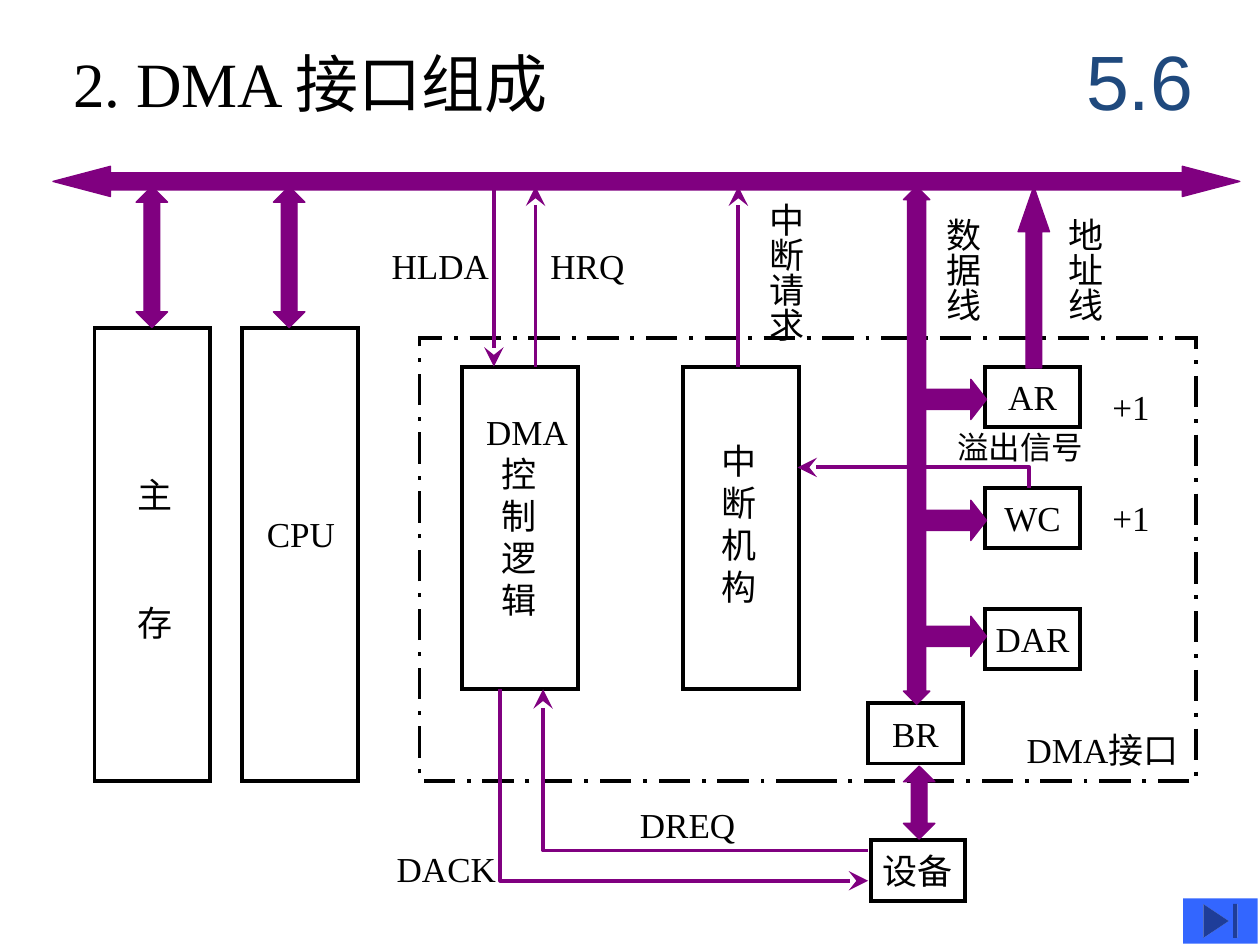
from lxml import etree
from pptx import Presentation
from pptx.dml.color import RGBColor
from pptx.enum.dml import MSO_LINE
from pptx.enum.shapes import MSO_CONNECTOR, MSO_SHAPE
from pptx.enum.text import MSO_ANCHOR, MSO_AUTO_SIZE, PP_ALIGN
from pptx.oxml.ns import qn
from pptx.util import Inches, Pt

BLACK = RGBColor(0x00, 0x00, 0x00)
PURPLE = RGBColor(0x80, 0x00, 0x80)
NAVY = RGBColor(0x1F, 0x49, 0x7D)
BLUE = RGBColor(0x33, 0x66, 0xFF)
SERIF = "Times New Roman"
SANS = "Arial"


def format_text(text_frame, size=20, font=SERIF, color=BLACK, align=PP_ALIGN.LEFT):
    for paragraph in text_frame.paragraphs:
        paragraph.alignment = align
        for run in paragraph.runs:
            run.font.size = Pt(size)
            run.font.name = font
            run.font.color.rgb = color


def set_insets(text_frame, horizontal, vertical):
    text_frame.margin_left = text_frame.margin_right = Inches(horizontal)
    text_frame.margin_top = text_frame.margin_bottom = Inches(vertical)


def add_label(slide, text, left, top, width, height=0.44, size=20, vertical=False):
    label = slide.shapes.add_textbox(Inches(left), Inches(top), Inches(width), Inches(height))
    text_frame = label.text_frame
    text_frame.text = text
    text_frame.word_wrap = False
    text_frame.auto_size = MSO_AUTO_SIZE.SHAPE_TO_FIT_TEXT
    set_insets(text_frame, 0.1, 0.05)
    if vertical:
        set_insets(text_frame, 0.05, 0.1)
        text_frame._txBody.bodyPr.set("vert", "eaVert")
    format_text(text_frame, size)
    return label


def indent(paragraphs, distance=0.12):
    for paragraph in paragraphs:
        properties = paragraph._p.get_or_add_pPr()
        properties.set("marL", str(Inches(distance)))
        properties.set("indent", "0")


def add_box(slide, left, top, width, height, text=""):
    box = slide.shapes.add_shape(
        MSO_SHAPE.RECTANGLE, Inches(left), Inches(top), Inches(width), Inches(height))
    box.shadow.inherit = False
    box.fill.background()
    box.line.color.rgb = BLACK
    box.line.width = Pt(2.25)
    box.line.dash_style = MSO_LINE.SOLID
    etree.SubElement(box.line._get_or_add_ln(), qn("a:miter")).set("lim", "800000")
    if text:
        box.text_frame.text = text
        box.text_frame.word_wrap = False
        box.text_frame.vertical_anchor = MSO_ANCHOR.MIDDLE
        format_text(box.text_frame, align=PP_ALIGN.CENTER)
    return box


def add_register(slide, left, top, text):
    return add_box(slide, left, top, 0.75, 0.48, text)


def add_block_arrow(slide, kind, left, top, width, height, *proportions):
    arrow = slide.shapes.add_shape(
        kind, Inches(left), Inches(top), Inches(width), Inches(height))
    for index, proportion in enumerate(proportions):
        arrow.adjustments[index] = proportion
    arrow.shadow.inherit = False
    arrow.fill.solid()
    arrow.fill.fore_color.rgb = PURPLE
    arrow.line.color.rgb = PURPLE
    arrow.line.width = Pt(0.75)


def add_two_way_arrow(slide, left, top, width, height, shaft, head):
    add_block_arrow(slide, MSO_SHAPE.UP_DOWN_ARROW, left, top, width, height, head, shaft)


def style_signal(signal):
    signal.line.color.rgb = PURPLE
    signal.line.width = Pt(2.25)
    tail = etree.SubElement(signal.line._get_or_add_ln(), qn("a:tailEnd"))
    for name, value in (("type", "stealth"), ("w", "lg"), ("len", "lg")):
        tail.set(name, value)


def add_signal(slide, x, start, end):
    signal = slide.shapes.add_connector(
        MSO_CONNECTOR.STRAIGHT, Inches(x), Inches(start), Inches(x), Inches(end))
    style_signal(signal)
    etree.SubElement(signal._element.spPr, qn("a:effectLst"))


def add_bent_signal(slide, *points):
    corners = [(Inches(x), Inches(y)) for x, y in points]
    builder = slide.shapes.build_freeform(*corners[0])
    builder.add_line_segments(corners[1:], close=False)
    signal = builder.convert_to_shape()
    signal.fill.background()
    style_signal(signal)
    signal.shadow.inherit = False


def add_header(slide, left, top):
    title = slide.shapes.title
    title.left, title.top = Inches(left), Inches(top + 0.13)
    title.width, title.height = Inches(4.52), Inches(0.7)
    title.text_frame.text = "2. DMA 接口组成"
    title.text_frame.vertical_anchor = MSO_ANCHOR.TOP
    set_insets(title.text_frame, 0.1, 0.05)
    format_text(title.text_frame, 36)

    section = slide.shapes.add_textbox(
        Inches(left + 7.94), Inches(top), Inches(1.25), Inches(0.92))
    section.text_frame.text = "5.6"
    section.text_frame.word_wrap = True
    section.text_frame.vertical_anchor = MSO_ANCHOR.MIDDLE
    format_text(section.text_frame, 44, SANS, NAVY, PP_ALIGN.CENTER)


def add_host(slide, left, top, height):
    for offset in (0, 1.17):
        add_box(slide, left + offset, top, 0.92, height)
    add_label(slide, "CPU", left + 1.27, top + 1.42, 0.74)
    memory = add_label(slide, "主\n存", left + 0.24, top + 1.11, 0.48, 1.44)
    memory.text_frame.paragraphs[1].space_before = Pt(49)


def add_bus(slide, left, top, width):
    add_block_arrow(slide, MSO_SHAPE.LEFT_RIGHT_ARROW, left, top, width, 0.24, 0.568, 1.9)
    lane = top + 0.16
    for offset in (0.66, 1.75):
        add_two_way_arrow(slide, left + offset, lane, 0.25, 1.12, 0.5, 0.892)
    add_two_way_arrow(slide, left + 6.75, lane, 0.21, 4.11, 0.688, 1.489)
    add_block_arrow(slide, MSO_SHAPE.UP_ARROW,
                    left + 7.66, lane, 0.25, 1.44, 0.5, 1.439)
    bottom = lane + 1.43
    add_signal(slide, left + 3.5, lane, bottom)
    for offset in (3.83, 5.44):
        add_signal(slide, left + offset, bottom, lane)
    add_label(slide, "HLDA", left + 2.59, top + 0.57, 0.97)
    add_label(slide, "HRQ", left + 3.85, top + 0.57, 0.79)
    add_label(slide, "中断请求", left + 5.5, top + 0.19, 0.53, 1.22, vertical=True)
    for text, offset in (("数据线", 6.91), ("地址线", 7.88)):
        add_label(slide, text, left + offset, top + 0.31, 0.53, 0.94, vertical=True)


def add_dma_interface(slide, left, top, width, height):
    frame = add_box(slide, left, top, width, height)
    dash = frame.line._get_or_add_ln().find(qn("a:prstDash"))
    dash.set("val", "lgDashDot")
    add_label(slide, "DMA接口", left + 4.72, top + 3.05, 1.47)

    for offset in (0.34, 2.09):
        add_box(slide, left + offset, top + 0.23, 0.92, 2.56)
    control = add_label(slide, "DMA\n控\n制\n逻\n辑", left + 0.43, top + 0.53, 0.85, 2.1)
    indent(control.text_frame.paragraphs[1:])
    interrupt = add_label(slide, "中\n断\n机\n构", left + 2.18, top + 0.76, 0.6, 1.44)
    indent(interrupt.text_frame.paragraphs)

    registers = (("AR", 0.23, 0.33), ("WC", 1.19, 1.29), ("DAR", 2.15, 2.21))
    for text, box_offset, arrow_offset in registers:
        add_register(slide, left + 4.49, top + box_offset, text)
        add_block_arrow(slide, MSO_SHAPE.RIGHT_ARROW,
                        left + 4, top + arrow_offset, 0.5, 0.32, 0.5, 0.389)
    add_register(slide, left + 3.56, top + 2.9, "BR")
    for offset in (0.33, 1.21):
        add_label(slide, "+1", left + 5.4, top + offset, 0.6)

    add_bent_signal(slide, (left + 4.84, top + 1.19), (left + 4.84, top + 1.03),
                    (left + 3, top + 1.03))
    add_label(slide, "溢出信号", left + 4.17, top + 0.67, 1.2, 0.4, 18)


def add_device(slide, left, top):
    add_register(slide, left, top, "设备")
    add_two_way_arrow(slide, left + 0.26, top - 0.59, 0.25, 0.58, 0.5, 0.464)
    edge, logic_bottom = left - 0.02, top - 1.2
    add_bent_signal(slide, (edge, top + 0.08), (left - 2.6, top + 0.08),
                    (left - 2.6, logic_bottom))
    add_bent_signal(slide, (left - 2.94, logic_bottom), (left - 2.94, top + 0.32),
                    (edge, top + 0.32))
    add_label(slide, "DREQ", left - 1.93, top - 0.34, 0.96)
    add_label(slide, "DACK", left - 3.86, top + 0.01, 0.99)


def add_end_button(slide, left, top, width, height):
    button = slide.shapes.add_shape(
        MSO_SHAPE.ACTION_BUTTON_END, Inches(left), Inches(top), Inches(width), Inches(height))
    button.shadow.inherit = False
    button.fill.solid()
    button.fill.fore_color.rgb = BLUE
    button.line.fill.background()


def main():
    presentation = Presentation()
    presentation.slide_width, presentation.slide_height = Inches(10), Inches(7.5)
    slide = presentation.slides.add_slide(presentation.slide_layouts[5])
    add_header(slide, 0.48, 0.17)
    add_dma_interface(slide, 3.33, 2.68, 6.16, 3.52)
    add_host(slide, 0.75, 2.6, 3.6)
    add_bus(slide, 0.42, 1.32, 9.42)
    add_device(slide, 6.91, 6.67)
    add_end_button(slide, 9.39, 7.13, 0.59, 0.36)
    presentation.save("out.pptx")


if __name__ == "__main__":
    main()
